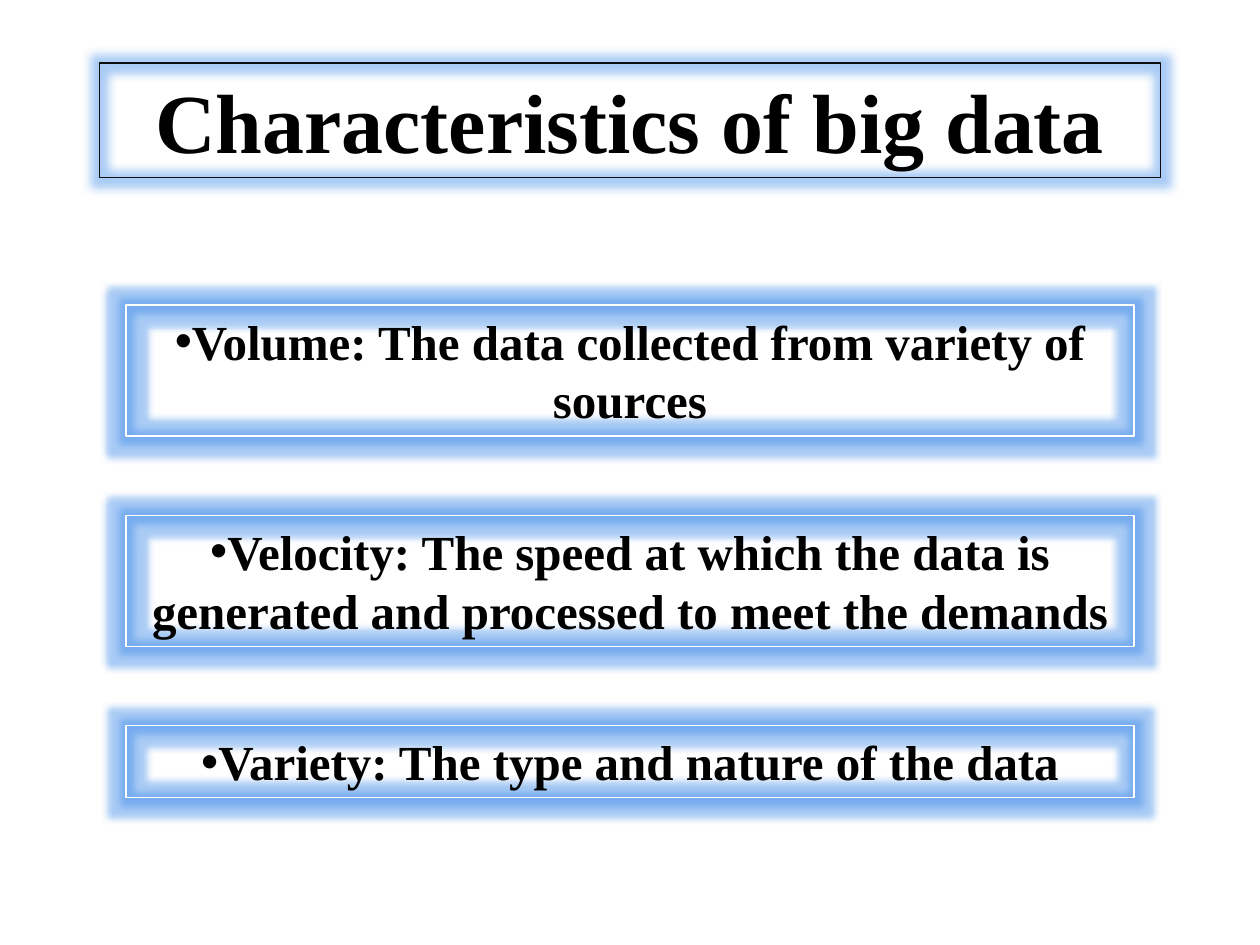
from dataclasses import dataclass

from lxml.etree import SubElement
from pptx import Presentation
from pptx.dml.color import RGBColor
from pptx.enum.text import MSO_ANCHOR, MSO_AUTO_SIZE, PP_ALIGN
from pptx.oxml.ns import qn
from pptx.util import Inches, Pt


@dataclass(frozen=True)
class Theme:
    """Colours, type sizes and line widths of the slide."""
    font: str = "Times New Roman"
    ink: str = "000000"
    title_line: str = "0D0D0D"
    card_line: str = "FFFFFF"
    glow: str = "2A7FE6"
    glow_alpha: int = 40
    title_size: int = 48
    card_size: int = 28
    line_width: float = 0.75
    title_glow: int = 11
    card_glow: int = 8


class SlideBuilder:
    """Draws glowing text frames on one slide."""

    def __init__(self, presentation, theme):
        """Add a title-only slide and keep its style."""
        self.theme = theme
        self.slide = presentation.slides.add_slide(presentation.slide_layouts[5])

    def frame(self, shape, place, line_color, glow_radius):
        """Place a shape and give it an outline and a soft glow."""
        shape.left, shape.top, shape.width, shape.height = map(Inches, place)
        shape.fill.background()
        shape.line.color.rgb = RGBColor.from_string(line_color)
        shape.line.width = Pt(self.theme.line_width)
        effects = SubElement(shape._element.spPr, qn("a:effectLst"))
        glow = SubElement(effects, qn("a:glow"), rad=str(Pt(glow_radius)))
        color = SubElement(glow, qn("a:srgbClr"), val=self.theme.glow)
        SubElement(color, qn("a:alpha"), val=str(self.theme.glow_alpha * 1000))

    def add_text(self, shape, text, size):
        """Add one centred bold paragraph and return it."""
        text_frame = shape.text_frame
        text_frame.word_wrap = True
        text_frame.auto_size = MSO_AUTO_SIZE.SHAPE_TO_FIT_TEXT
        text_frame.vertical_anchor = MSO_ANCHOR.TOP
        paragraph = text_frame.paragraphs[0]
        paragraph.alignment = PP_ALIGN.CENTER
        run = paragraph.add_run()
        run.text = text
        run.font.name = self.theme.font
        run.font.size = Pt(size)
        run.font.bold = True
        run.font.color.rgb = RGBColor.from_string(self.theme.ink)
        return paragraph

    def title(self, text, place):
        """Format the title placeholder."""
        shape = self.slide.shapes.title
        self.frame(shape, place, self.theme.title_line, self.theme.title_glow)
        self.add_text(shape, text, self.theme.title_size)

    def card(self, text, place):
        """Add a framed text box with one bullet."""
        shape = self.slide.shapes.add_textbox(0, 0, 0, 0)
        self.frame(shape, place, self.theme.card_line, self.theme.card_glow)
        paragraph = self.add_text(shape, text, self.theme.card_size)
        properties = paragraph._p.get_or_add_pPr()
        properties.set("marL", "0")
        properties.set("indent", "0")
        SubElement(properties, qn("a:buFont"), typeface="Arial")
        SubElement(properties, qn("a:buChar"), char="•")


CARDS = (
    ("Volume: The data collected from variety of sources", 1.04),
    ("Velocity: The speed at which the data is generated and processed "
     "to meet the demands", 1.04),
    ("Variety: The type and nature of the data", 0.57),
)
CARD_LEFT, CARD_TOP, CARD_WIDTH, CARD_PITCH = 1, 2.42, 8, 1.67


def main():
    """Build the slide and save it."""
    presentation = Presentation()
    presentation.slide_width, presentation.slide_height = Inches(10), Inches(7.5)
    builder = SlideBuilder(presentation, Theme())
    builder.title("Characteristics of big data", (0.79, 0.5, 8.42, 0.91))
    for row, (text, height) in enumerate(CARDS):
        top = CARD_TOP + row * CARD_PITCH
        builder.card(text, (CARD_LEFT, top, CARD_WIDTH, height))
    presentation.save("out.pptx")


main()
